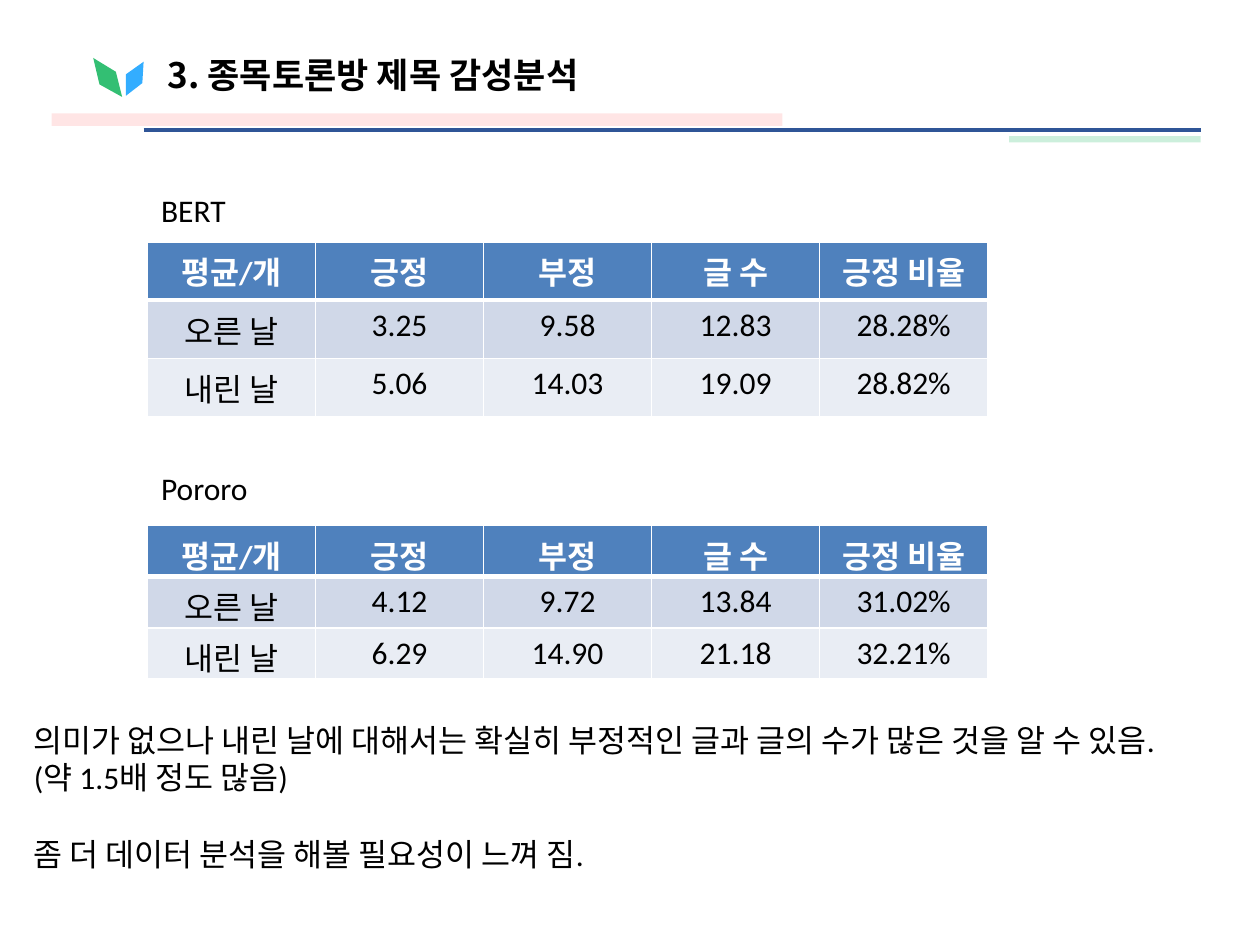
"""Build the slide on the sentiment of stock-board titles, on a grid of 100 columns by 75 rows."""
from lxml.etree import SubElement
from pptx import Presentation
from pptx.dml.color import RGBColor
from pptx.enum.shapes import MSO_CONNECTOR, MSO_SHAPE
from pptx.enum.text import MSO_ANCHOR, MSO_AUTO_SIZE, PP_ALIGN
from pptx.oxml.ns import qn
from pptx.util import Inches, Pt

COLUMNS, ROWS = 100, 75
WIDTH, HEIGHT = Inches(10), Inches(7.5)
COLORS = {
    "black": "000000", "white": "FFFFFF", "red": "FF0000", "navy": "2F5597",
    "green": "00B050", "blue": "0099FF", "header": "4F81BD",
    "rise": "D0D8E8", "fall": "E9EDF4",
}
LATIN, HANGUL = "Calibri", "Noto Sans CJK KR"
HEADINGS = ["평균/개", "긍정", "부정", "글 수", "긍정 비율"]
MODELS = [
    ("BERT", 14.7, 7.2, 19.2,
     [["오른 날", "3.25", "9.58", "12.83", "28.28%"],
      ["내린 날", "5.06", "14.03", "19.09", "28.82%"]]),
    ("Pororo", 36.7, 8.9, 41.7,
     [["오른 날", "4.12", "9.72", "13.84", "31.02%"],
      ["내린 날", "6.29", "14.90", "21.18", "32.21%"]]),
]
FINDINGS = [
    ("의미가 없으나 내린 날에 대해서는 확실히 부정적인 글과 글의 수가 많은 것을 알 수 있음.", 0),
    ("(약 1.5배 정도 많음)", 0),
    ("좀 더 데이터 분석을 해볼 필요성이 느껴 짐.", 22),
]
LEAVES = [
    ("green", [(7.4, 4.6), (7.9, 6.7), (9.7, 7.7), (9.2, 5.7)]),
    ("blue", [(11.4, 4.9), (10, 5.9), (10, 7.6), (11.3, 6.6)]),
]


def across(columns):
    """Turn grid columns into a length."""
    return round(WIDTH * columns / COLUMNS)


def down(rows):
    """Turn grid rows into a length."""
    return round(HEIGHT * rows / ROWS)


def area(left, top, width, height):
    """Turn a grid area into left, top, width and height."""
    return across(left), down(top), across(width), down(height)


def rgb(name):
    """Look up a colour by name."""
    return RGBColor.from_string(COLORS[name])


def tint(figure, color, opacity):
    """Fill a figure with a see-through colour and no outline."""
    figure.shadow.inherit = False
    figure.line.fill.background()
    figure.fill.solid()
    figure.fill.fore_color.rgb = rgb(color)
    shade = figure.fill._xPr.find(qn("a:solidFill"))[0]
    SubElement(shade, qn("a:alpha"), val=str(opacity * 1000))


def add_band(slide, place, color, opacity):
    """Add a decorative band below the title."""
    tint(slide.shapes.add_shape(MSO_SHAPE.RECTANGLE, *area(*place)), color, opacity)


def add_leaf(slide, color, corners):
    """Add a four-cornered leaf beside the title."""
    points = [(across(x), down(y)) for x, y in corners]
    outline = slide.shapes.build_freeform(*points[0])
    outline.add_line_segments(points[1:], close=True)
    tint(outline.convert_to_shape(), color, 80)


def add_rule(slide, start, end, row):
    """Add the horizontal title rule."""
    rule = slide.shapes.add_connector(
        MSO_CONNECTOR.STRAIGHT, across(start), down(row), across(end), down(row))
    rule.line.color.rgb = rgb("navy")
    rule.line.width = Pt(2)
    SubElement(rule._element.spPr, qn("a:effectLst"))


def add_run(paragraph, words, size=18, color="black", bold=False, font=LATIN):
    """Add one formatted run to a paragraph."""
    run = paragraph.add_run()
    run.text = words
    run.font.size = Pt(size)
    run.font.name = font
    run.font.bold = bold
    run.font.color.rgb = rgb(color)
    return run


def set_title(slide, words):
    """Place and fill the title placeholder."""
    title = slide.shapes.title
    title.left, title.top, title.width, title.height = area(13.3, 4.2, 50.8, 3.5)
    frame = title.text_frame
    frame.margin_left = frame.margin_right = frame.margin_top = frame.margin_bottom = 0
    frame.vertical_anchor = MSO_ANCHOR.MIDDLE
    frame.auto_size = MSO_AUTO_SIZE.NONE
    frame.word_wrap = True
    heading = frame.paragraphs[0]
    heading.alignment = PP_ALIGN.LEFT
    run = add_run(heading, words, 20, bold=True, font=HANGUL)
    SubElement(run._r.get_or_add_rPr(), qn("a:ea"), typeface=HANGUL)


def add_text(slide, place, lines):
    """Add a text box from pairs of words and space before."""
    frame = slide.shapes.add_textbox(*area(*place)).text_frame
    frame.word_wrap = False
    frame.auto_size = MSO_AUTO_SIZE.SHAPE_TO_FIT_TEXT
    for index, (words, gap) in enumerate(lines):
        paragraph = frame.add_paragraph() if index else frame.paragraphs[0]
        paragraph.space_before = Pt(gap)
        add_run(paragraph, words)


def add_borders(cell, bottom, top):
    """Draw white borders round a table cell."""
    properties = cell._tc.get_or_add_tcPr()
    for side, points in (("L", 1), ("R", 1), ("T", top), ("B", bottom)):
        border = SubElement(properties, qn(f"a:ln{side}"), w=str(Pt(points)))
        paint = SubElement(border, qn("a:solidFill"))
        SubElement(paint, qn("a:srgbClr"), val=COLORS["white"])


def add_scores(slide, top, days):
    """Add a table of average scores for rising and falling days."""
    records = [HEADINGS, *days]
    table = slide.shapes.add_table(
        len(records), len(HEADINGS), *area(11.7, top, 66.7, 12.2)).table
    for row, (record, fill) in enumerate(zip(records, ("header", "rise", "fall"))):
        for column, words in enumerate(record):
            cell = table.cell(row, column)
            add_borders(cell, bottom=1 if row else 3, top=3 if row == 1 else 1)
            cell.fill.solid()
            cell.fill.fore_color.rgb = rgb(fill)
            paragraph = cell.text_frame.paragraphs[0]
            paragraph.alignment = PP_ALIGN.CENTER
            add_run(paragraph, words, color="black" if row else "white", bold=not row)


def main():
    """Build and save the slide."""
    deck = Presentation()
    deck.slide_width, deck.slide_height = WIDTH, HEIGHT
    slide = deck.slides.add_slide(deck.slide_layouts[5])
    add_band(slide, (4.1, 9, 58, 1), "red", 10)
    add_rule(slide, 11.4, 95.3, 10.3)
    for color, corners in LEAVES:
        add_leaf(slide, color, corners)
    add_band(slide, (80.1, 10.8, 15.2, 0.5), "green", 20)
    set_title(slide, "3. 종목토론방 제목 감성분석")
    for model, label_top, label_width, table_top, days in MODELS:
        add_scores(slide, table_top, days)
        add_text(slide, (11.8, label_top, label_width, 4), [(model, 0)])
    add_text(slide, (1.7, 56.7, 99.1, 13.1), FINDINGS)
    deck.save("out.pptx")


if __name__ == "__main__":
    main()
